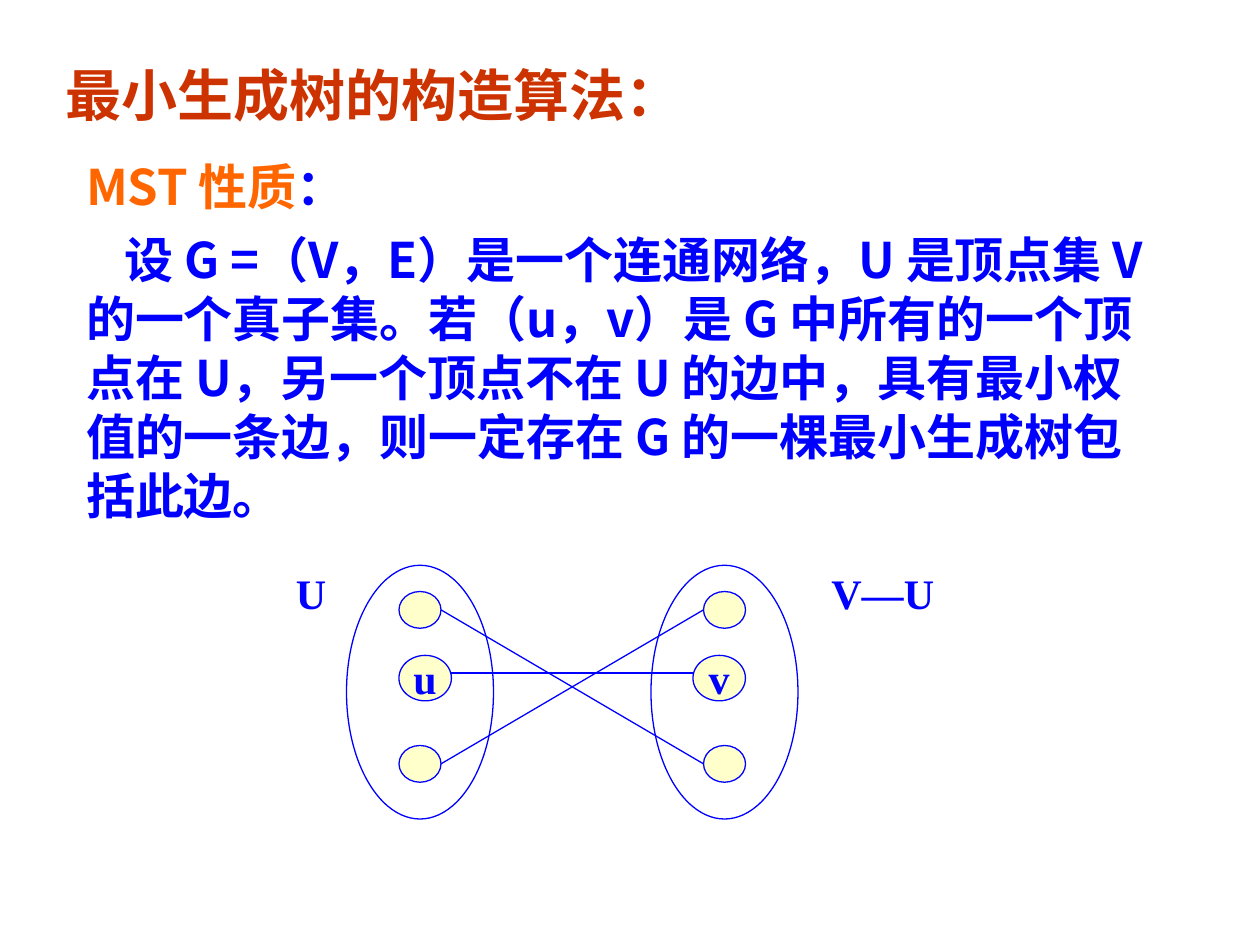
import dataclasses

import pptx
import pptx.dml.color
import pptx.enum.shapes
import pptx.enum.text
import pptx.oxml.ns
import pptx.util

Pt = pptx.util.Pt
RGB = pptx.dml.color.RGBColor.from_string
TEXT = pptx.enum.text
KIND = pptx.enum.shapes


@dataclasses.dataclass(frozen=True)
class Theme:
    """Colours, fonts and type sizes of the slide."""
    blue: str = "0000FF"
    red: str = "CC3300"
    orange: str = "FF6600"
    cream: str = "FFFFCC"
    serif: str = "Times New Roman"
    sans: str = "Noto Sans CJK SC"
    head: float = 32
    body: float = 28
    label: float = 24
    line: float = 0.75


THEME = Theme()


def style(run, size, color, face):
    """Format a run, with the sans face for Chinese."""
    font = run.font
    font.size, font.bold, font.name = Pt(size), True, face
    font.color.rgb = RGB(color)
    node = run._r.get_or_add_rPr()
    east = node.makeelement(pptx.oxml.ns.qn("a:ea"), {"typeface": THEME.sans})
    node.find(pptx.oxml.ns.qn("a:latin")).addnext(east)


def place(shape, box):
    """Move a shape to a box given in points."""
    shape.left, shape.top, shape.width, shape.height = map(Pt, box)


def add_title(slide, box):
    """Fill the title placeholder."""
    title = slide.shapes.title
    place(title, box)
    frame = title.text_frame
    frame.auto_size = TEXT.MSO_AUTO_SIZE.NONE
    frame.vertical_anchor = TEXT.MSO_ANCHOR.MIDDLE
    frame.text = "最小生成树的构造算法："
    para = frame.paragraphs[0]
    para.alignment = TEXT.PP_ALIGN.LEFT
    style(para.runs[0], THEME.head, THEME.red, THEME.serif)


def add_body(slide, box):
    """Fill the body placeholder with the property and its statement."""
    body = slide.placeholders[1]
    place(body, box)
    frame = body.text_frame
    frame.auto_size = TEXT.MSO_AUTO_SIZE.NONE
    rows = [
        ([("MST 性质", THEME.orange), ("：", THEME.blue)], 0, 0),
        ([("设 G =（V，E）是一个连通网络，U 是顶点集 V 的一个真子集。"
           "若（u，v）是 G 中所有的一个顶点在 U，另一个顶点不在 U 的边中，"
           "具有最小权值的一条边，则一定存在 G 的一棵最小生成树包括此边。",
           THEME.blue)], 22, 7.5),
    ]
    for i, (parts, indent, gap) in enumerate(rows):
        para = frame.paragraphs[0] if i == 0 else frame.add_paragraph()
        props = para._p.get_or_add_pPr()
        props.set("marL", "0")
        props.set("indent", str(Pt(indent)))
        props.append(props.makeelement(pptx.oxml.ns.qn("a:buNone"), {}))
        para.line_spacing, para.space_before = Pt(33.7), Pt(gap)
        for text, color in parts:
            run = para.add_run()
            run.text = text
            style(run, THEME.body, color, THEME.sans)


def add_oval(group, x, y, width, height, fill=None, text=""):
    """Draw an outlined ellipse centred on a point."""
    oval = group.shapes.add_shape(
        KIND.MSO_SHAPE.OVAL, Pt(x - width / 2), Pt(y - height / 2),
        Pt(width), Pt(height))
    oval.shadow.inherit = False
    oval.line.color.rgb, oval.line.width = RGB(THEME.blue), Pt(THEME.line)
    if fill:
        oval.fill.solid()
        oval.fill.fore_color.rgb = RGB(fill)
    else:
        oval.fill.background()
    if text:
        frame = oval.text_frame
        frame.word_wrap = False
        frame.vertical_anchor = TEXT.MSO_ANCHOR.MIDDLE
        frame.text = text
        para = frame.paragraphs[0]
        para.alignment = TEXT.PP_ALIGN.CENTER
        style(para.runs[0], THEME.label, THEME.blue, THEME.serif)


def add_link(group, start, end):
    """Draw a plain edge between two points."""
    link = group.shapes.add_connector(
        KIND.MSO_CONNECTOR.STRAIGHT, *map(Pt, (*start, *end)))
    link.line.color.rgb, link.line.width = RGB(THEME.blue), Pt(THEME.line)
    props = link._element.spPr
    props.append(props.makeelement(pptx.oxml.ns.qn("a:effectLst"), {}))


def add_label(group, text, box):
    """Name a vertex set."""
    label = group.shapes.add_textbox(*map(Pt, box))
    label.text_frame.word_wrap = True
    label.text_frame.text = text
    run = label.text_frame.paragraphs[0].runs[0]
    style(run, THEME.label, THEME.blue, THEME.serif)


def add_graph(slide, box):
    """Draw two mirrored vertex sets and the edges that cross them."""
    left, top, width, _ = box
    group = slide.shapes.add_group_shape()
    axis = left + 165
    high, mid, low = top + 28, top + 67, top + 116
    for side, name in ((-1, "u"), (1, "v")):
        hub = axis + side * 87
        add_oval(group, hub, top + 75, 84, 145)
        add_oval(group, axis + side * 84, mid, 30, 26, THEME.cream, name)
        for y in (high, low):
            add_oval(group, hub, y, 24, 21, THEME.cream)
    for start, end, reach in ((high, low, 75), (low, high, 75),
                              (mid - 3, mid - 3, 69)):
        add_link(group, (axis - reach, start), (axis + reach, end))
    add_label(group, "U", (left, top, 36, 36))
    add_label(group, "V—U", (left + width - 84, top, 84, 36))


def main():
    """Build and save the slide."""
    deck = pptx.Presentation()
    deck.slide_width, deck.slide_height = Pt(720), Pt(540)
    slide = deck.slides.add_slide(deck.slide_layouts[1])
    add_title(slide, (30, 18, 575, 72))
    add_body(slide, (42, 86, 630, 217))
    add_graph(slide, (162, 320.5, 390, 148))
    deck.save("out.pptx")


if __name__ == "__main__":
    main()
